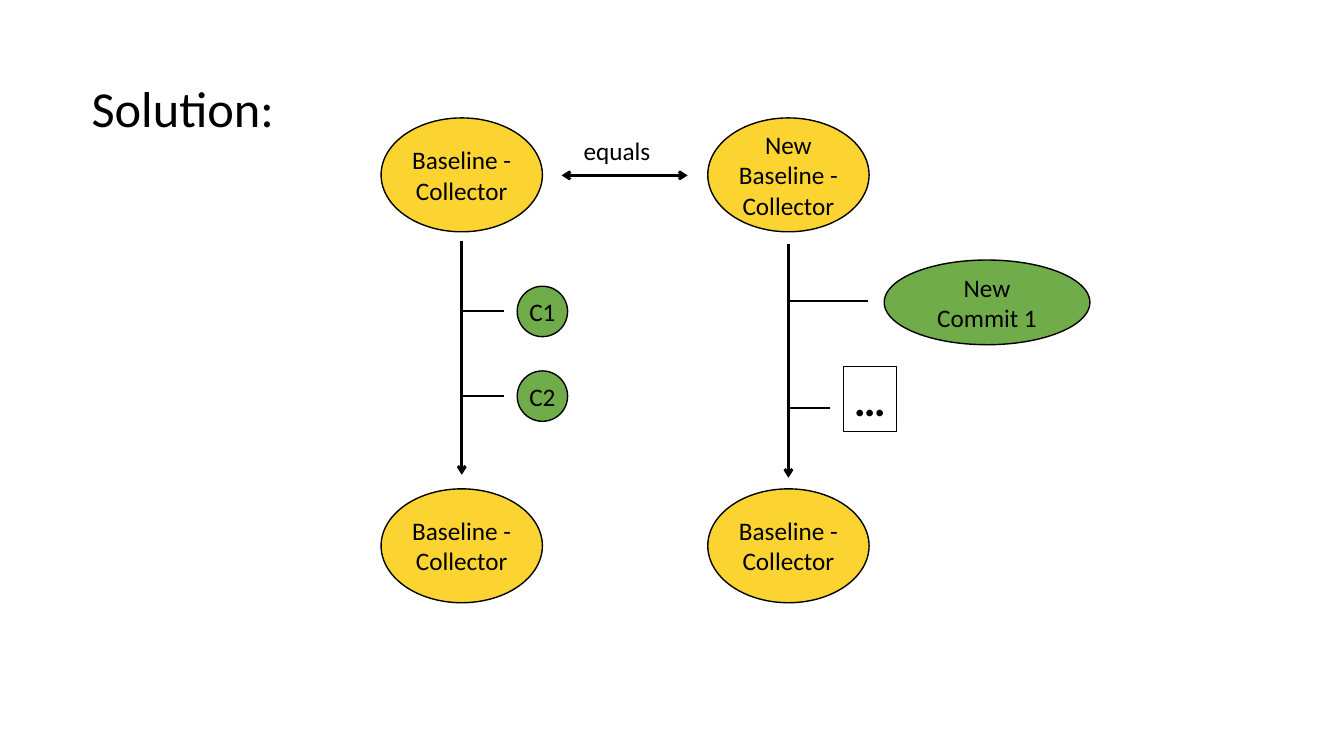
from dataclasses import dataclass

from lxml import etree
from pptx import Presentation
from pptx import util as u
from pptx.dml.color import RGBColor
from pptx.enum import shapes, text
from pptx.oxml import ns

PX = 9144  # EMU per px, 100 px to the inch


@dataclass(frozen=True)
class Theme:
    font: str = "Calibri"
    ink: RGBColor = RGBColor(0, 0, 0)
    yellow: RGBColor = RGBColor(0xFC, 0xD4, 0x32)
    green: RGBColor = RGBColor(0x70, 0xAC, 0x49)
    title: int = 36
    dots: int = 32
    label: int = 18
    outline: float = 1
    frame: float = 0.75
    arrow: float = 2
    branch: float = 1.5


THEME = Theme()


@dataclass(frozen=True)
class Node:
    lines: tuple[str, ...]
    left: int
    top: int
    width: int
    height: int
    fill: RGBColor
    wrap: bool = False


@dataclass(frozen=True)
class Label:
    words: str
    left: int
    top: int
    width: int
    height: int
    size: int
    bold: bool = False
    framed: bool = False


@dataclass(frozen=True)
class Line:
    start: tuple[int, int]
    end: tuple[int, int]
    weight: float = THEME.branch
    arrows: tuple[str, ...] = ()


def write(frame, lines: tuple[str, ...], size: int, bold: bool = False, align=None) -> None:
    for index, words in enumerate(lines):
        para = frame.paragraphs[0] if index == 0 else frame.add_paragraph()
        para.alignment = align
        span = para.add_run()
        span.text = words
        look = {"name": THEME.font, "size": u.Pt(size), "bold": bold}
        for key, value in look.items():
            setattr(span.font, key, value)
        span.font.color.rgb = THEME.ink


def draw_node(page, node: Node) -> None:
    oval = page.shapes.add_shape(
        shapes.MSO_SHAPE.OVAL,
        *(PX * n for n in (node.left, node.top, node.width, node.height)))
    oval.shadow.inherit = False
    oval.fill.solid()
    oval.fill.fore_color.rgb = node.fill
    oval.line.color.rgb = THEME.ink
    oval.line.width = u.Pt(THEME.outline)
    layout = {"word_wrap": node.wrap, "vertical_anchor": text.MSO_ANCHOR.MIDDLE}
    for key, value in layout.items():
        setattr(oval.text_frame, key, value)
    write(oval.text_frame, node.lines, THEME.label, align=text.PP_ALIGN.CENTER)


def draw_label(page, label: Label) -> None:
    box = page.shapes.add_textbox(
        *(PX * n for n in (label.left, label.top, label.width, label.height)))
    layout = {"word_wrap": False, "auto_size": text.MSO_AUTO_SIZE.SHAPE_TO_FIT_TEXT}
    for key, value in layout.items():
        setattr(box.text_frame, key, value)
    if label.framed:
        box.line.color.rgb = THEME.ink
        box.line.width = u.Pt(THEME.frame)
    write(box.text_frame, (label.words,), label.size, label.bold)


def draw_line(page, line: Line) -> None:
    connector = page.shapes.add_connector(
        shapes.MSO_CONNECTOR.STRAIGHT, *(PX * n for n in line.start + line.end))
    connector.line.color.rgb = THEME.ink
    connector.line.width = u.Pt(line.weight)
    stroke = connector.line._get_or_add_ln()
    for end in line.arrows:
        etree.SubElement(stroke, ns.qn(f"a:{end}"), type="arrow")
    etree.SubElement(connector._element.spPr, ns.qn("a:effectLst"))


# Two histories side by side, each running from an upper to a lower collector
LEFT_AXIS, RIGHT_AXIS = 458, 782
UPPER, LOWER = 117, 485
BASELINE = ("Baseline -", "Collector")


def collector(axis: int, top: int, lines: tuple[str, ...] = BASELINE) -> Node:
    return Node(lines, axis - 80, top, 160, 113, THEME.yellow)


def history(axis: int, top: int) -> Line:
    return Line((axis, top), (axis, top + 232), THEME.arrow, ("tailEnd",))


def branch(axis: int, y: int, length: int) -> Line:
    return Line((axis, y), (axis + length, y))


COMMITS = {"C1": 309, "C2": 393}

NODES = [
    collector(LEFT_AXIS, UPPER),
    collector(LEFT_AXIS, LOWER),
    collector(RIGHT_AXIS, UPPER, ("New", *BASELINE)),
    collector(RIGHT_AXIS, LOWER),
    Node(("New Commit 1",), 877, 258, 204, 84, THEME.green, wrap=True),
    *(Node((name,), 513, y - 25, 50, 50, THEME.green) for name, y in COMMITS.items()),
]
LINES = [
    Line((557, 174), (682, 174), THEME.arrow, ("headEnd", "tailEnd")),
    history(LEFT_AXIS, 239),
    history(RIGHT_AXIS, 242),
    *(branch(LEFT_AXIS, y, 42) for y in COMMITS.values()),
    branch(RIGHT_AXIS, 299, 79),
    branch(RIGHT_AXIS, 405, 41),
]
LABELS = [
    Label("Solution:", 81, 72, 203, 71, THEME.title),
    Label("equals", 569, 129, 87, 40, THEME.label),
    Label("…", 837, 364, 52, 64, THEME.dots, bold=True, framed=True),
]


def main() -> None:
    deck = Presentation()
    deck.slide_width, deck.slide_height = 1333 * PX, 750 * PX
    page = deck.slides.add_slide(deck.slide_layouts[6])
    # Lines first, then the commits and collectors, then the wording
    for line in LINES:
        draw_line(page, line)
    for node in NODES:
        draw_node(page, node)
    for label in LABELS:
        draw_label(page, label)
    deck.save("out.pptx")


if __name__ == "__main__":
    main()
